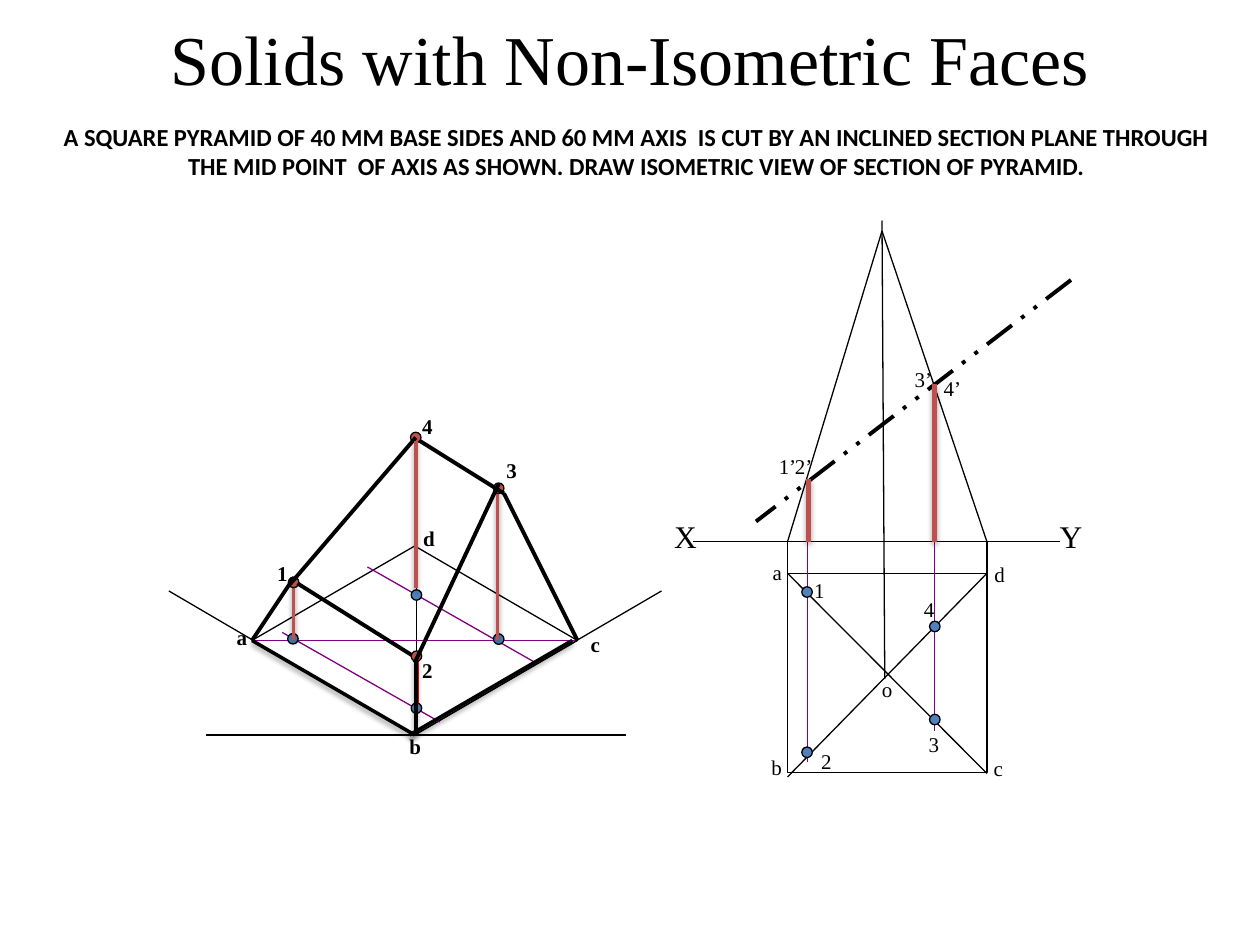
import lxml.etree
import pptx
import pptx.dml.color
import pptx.enum.dml
import pptx.enum.shapes
import pptx.enum.text
import pptx.oxml.ns
import pptx.util

Pt = pptx.util.Pt
RGB = pptx.dml.color.RGBColor
Shape = pptx.enum.shapes.MSO_SHAPE
Align = pptx.enum.text.PP_ALIGN
qn = pptx.oxml.ns.qn

BLACK = RGB(0x00, 0x00, 0x00)
WHITE = RGB(0xFF, 0xFF, 0xFF)
BLUE = RGB(0x4F, 0x81, 0xBD)
BRICK = RGB(0xC0, 0x50, 0x4D)
RED = RGB(0xFF, 0x00, 0x00)
PURPLE = RGB(0x80, 0x00, 0x80)
SERIF = "Times New Roman"
DOT = 6
BASE = 309.6


def add_shade(effects, alpha):
    shade = lxml.etree.SubElement(
        effects, qn("a:outerShdw"), blurRad=str(Pt(3.1)), dist=str(Pt(1.7)),
        dir="5400000", algn="ctr", rotWithShape="0")
    color = lxml.etree.SubElement(shade, qn("a:srgbClr"), val="000000")
    lxml.etree.SubElement(color, qn("a:alpha"), val=str(alpha * 1000))


def add_line(shapes, x1, y1, x2, y2, color=BLACK, width=0.75, alpha=0):
    line = shapes.add_connector(
        pptx.enum.shapes.MSO_CONNECTOR.STRAIGHT, Pt(x1), Pt(y1), Pt(x2), Pt(y2))
    line.line.color.rgb = color
    line.line.width = Pt(width)
    effects = lxml.etree.SubElement(line._element.spPr, qn("a:effectLst"))
    if alpha:
        add_shade(effects, alpha)
    return line


def add_lines(shapes, ends, **style):
    for end in ends:
        add_line(shapes, *end, **style)


def add_form(shapes, kind, x, y, w, h, fill):
    form = shapes.add_shape(kind, Pt(x), Pt(y), Pt(w), Pt(h))
    form.shadow.inherit = False
    form.fill.solid()
    form.fill.fore_color.rgb = fill
    form.line.color.rgb = BLACK
    form.line.width = Pt(0.75)
    return form


def add_dots(shapes, spots, fill):
    for x, y in spots:
        add_form(shapes, Shape.OVAL, x, y, DOT, DOT, fill)


def style_text(frame, size, font, bold, align):
    para = frame.paragraphs[0]
    para.alignment = align
    para.font.size = Pt(size)
    para.font.name = font
    para.font.bold = bold
    para.font.color.rgb = BLACK


def add_text(shapes, text, x, y, w, h, size=12, font=SERIF, bold=False,
             align=Align.CENTER, wrap=False):
    box = shapes.add_textbox(Pt(x), Pt(y), Pt(w), Pt(h))
    frame = box.text_frame
    frame.word_wrap = wrap
    frame.auto_size = pptx.enum.text.MSO_AUTO_SIZE.SHAPE_TO_FIT_TEXT
    frame.text = text
    style_text(frame, size, font, bold, align)


def add_labels(shapes, labels, **style):
    for text, x, y in labels:
        add_text(shapes, text, x, y, 16.4 + 4 * len(text), 21.8, **style)


def add_title(slide):
    title = slide.shapes.title
    title.left, title.top, title.width, title.height = Pt(36), Pt(6), Pt(648), Pt(54)
    frame = title.text_frame
    frame.text = "Solids with Non-Isometric Faces"
    frame.vertical_anchor = pptx.enum.text.MSO_ANCHOR.MIDDLE
    style_text(frame, 40, SERIF, False, Align.CENTER)


def draw_views(shapes):
    add_form(shapes, Shape.RECTANGLE, 450, 327.6, 114, 114, WHITE)
    add_lines(shapes, [
        (450, 357.6, 450, BASE), (564, 352, 564, BASE),
        (564, 327.6, 450, 444), (450, 327.6, 564, 442),
        (505.6, 388, 504, 126), (504, 132, 450, BASE), (504, 132, 564, BASE)])
    plane = add_line(shapes, 612, 160, 432, 298, width=2.25)
    plane.line.dash_style = pptx.enum.dml.MSO_LINE.DASH_DOT_DOT
    add_lines(shapes, [(461.5, 273.6, 461.5, 435.6), (534, 219.6, 534, 417.6)],
              color=PURPLE)
    add_dots(shapes, [(458.2, 335.3), (458.2, 426.9), (531.2, 355), (531.2, 408.2)],
             BLUE)
    add_labels(shapes, [
        ("a", 434, 316), ("b", 433.6, 427.9), ("c", 560.2, 428.4), ("d", 561, 317.5),
        ("1", 458, 326.2), ("2", 462, 424), ("3", 523.5, 414.7), ("4", 520.7, 337.6),
        ("o", 496.7, 383),
        ("1’", 437.8, 255.6), ("4’", 532, 211), ("3’", 515.5, 205.9),
        ("2’", 447, 255.6)])


def draw_solid(shapes, base):
    axes = shapes.add_group_shape().shapes
    add_lines(axes, [(237, 420, 378, 337.7), (237, 420, 96.5, 337.7),
                     (238.2, 252, 238.2, 420), (118, 420, 358, 420)])
    cross = add_line(shapes, 144, 366, 330, 366, color=PURPLE)
    cross.begin_connect(base, 1)
    cross.end_connect(base, 3)
    add_lines(shapes, [(161.3, 361.4, 251.3, 412.6), (210, 324, 306, 378.7)],
              color=PURPLE)
    add_dots(shapes, [(164.4, 362), (235, 401.7), (282, 362.2), (235, 337)], BLUE)
    add_lines(shapes, [(167.8, 330, 167.8, 366), (284.4, 276, 284.4, 366)],
              color=BRICK, width=2, alpha=38)
    add_line(shapes, 238.2, 372, 238.2, 402, color=RED, width=2.25)
    add_dots(shapes, [(235, 372), (164.8, 329.8), (234.6, 247), (282, 276)], BRICK)
    add_lines(shapes, [
        (285, 276.5, 237, 378.7), (237.6, 250, 165.6, 334), (240, 252, 288, 282),
        (170, 333.4, 235.4, 374.4), (288, 282, 330, 366), (168, 330, 144, 366)],
        width=2.25)
    add_labels(shapes, [("1", 151.2, 316.8), ("2", 234, 372.2),
                        ("4", 234, 232.6), ("3", 282.2, 257.8)], bold=True)
    add_lines(shapes, [(234, 420, 327, 366), (237, 420, 144, 366)],
              width=2, alpha=38)


def draw_ground(shapes):
    ground = shapes.add_group_shape().shapes
    add_line(ground, 396, BASE, 606, BASE)
    for text, x in [("X", 378), ("Y", 598.3)]:
        add_text(ground, text, x, 291.6, 27.4, 29, size=18)


def draw_heights(shapes):
    add_lines(shapes, [(462, 273.6, 462, BASE), (534, 219.6, 534, BASE)],
              color=BRICK, width=3, alpha=35)
    add_line(shapes, 237.6, 336, 237.6, 252, color=BRICK, width=2, alpha=38)
    add_line(shapes, 237.6, 376.6, 237.6, 419, width=2, alpha=38)


def main():
    deck = pptx.Presentation()
    deck.slide_width, deck.slide_height = Pt(720), Pt(540)
    slide = deck.slides.add_slide(deck.slide_layouts[5])
    shapes = slide.shapes
    add_title(slide)
    base = add_form(shapes, Shape.DIAMOND, 144, 312, 186, 108, WHITE)
    draw_views(shapes)
    draw_solid(shapes, base)
    draw_ground(shapes)
    draw_heights(shapes)
    add_text(shapes, "A SQUARE PYRAMID OF 40 MM BASE SIDES AND 60 MM AXIS  IS CUT BY AN "
             "INCLINED SECTION PLANE THROUGH THE MID POINT  OF AXIS AS SHOWN. "
             "DRAW ISOMETRIC VIEW OF SECTION OF PYRAMID.",
             24, 66, 679.7, 41, size=14, font="Calibri", bold=True, wrap=True)
    add_labels(shapes, [("a", 128.2, 353.5), ("b", 226.8, 415.4),
                        ("c", 330.5, 357.1), ("d", 234.7, 296.6)],
               bold=True, align=Align.LEFT)
    deck.save("out.pptx")


if __name__ == "__main__":
    main()
